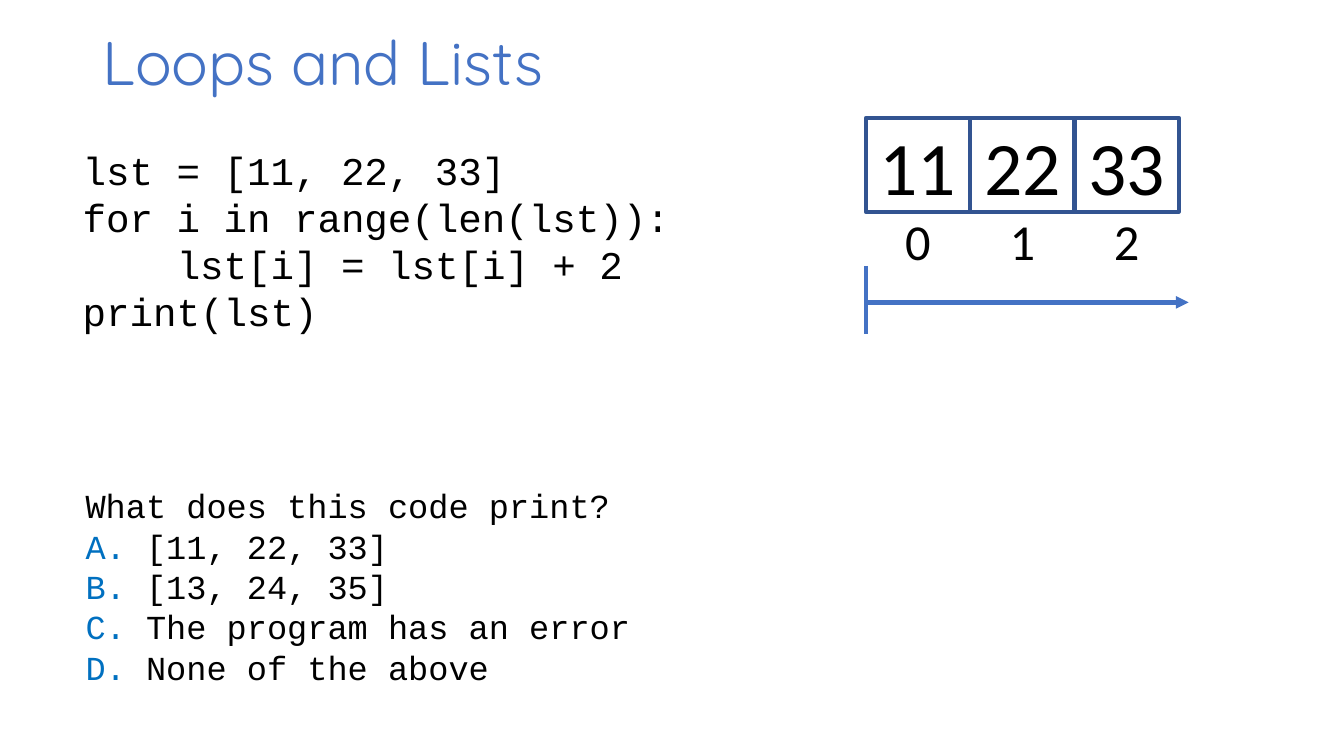
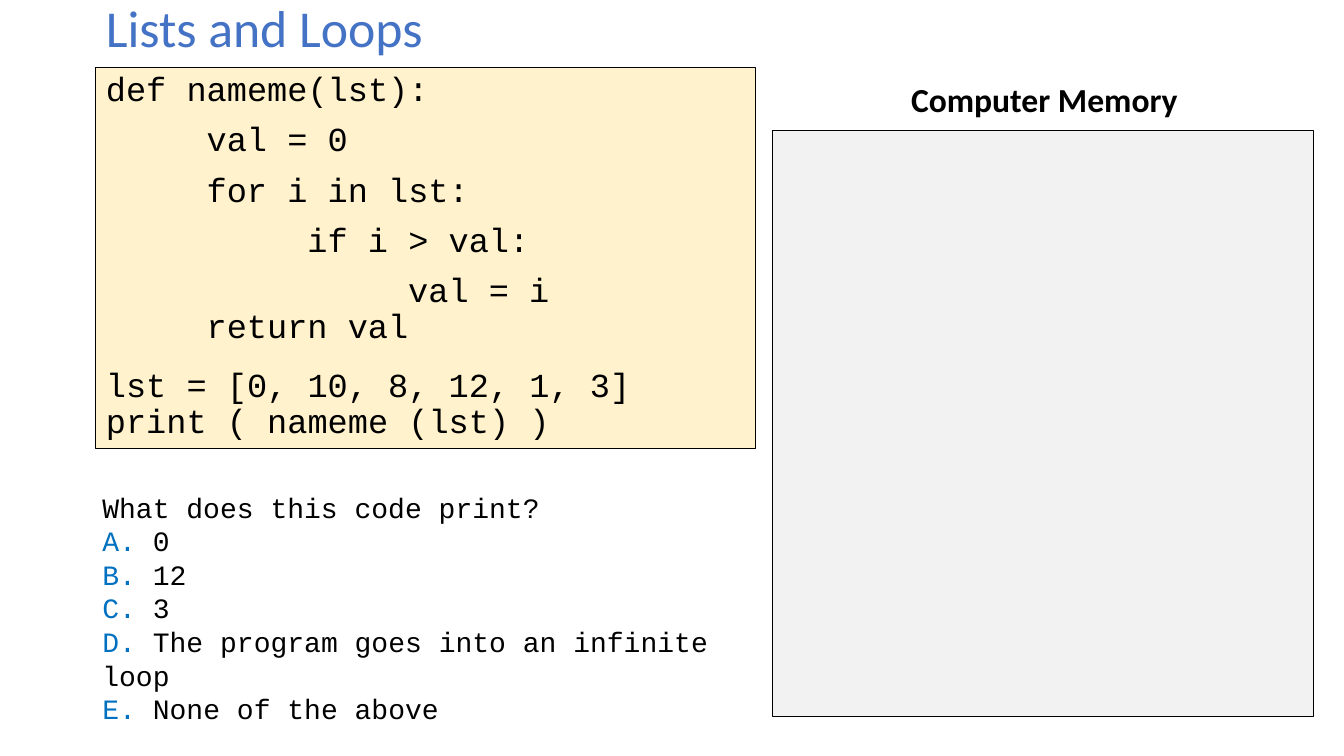
import pptx
import pptx.dml.color
import pptx.enum.shapes
import pptx.enum.text
import pptx.oxml.ns
import pptx.util
from lxml import etree

Pt = pptx.util.Pt
RGBColor = pptx.dml.color.RGBColor
Align = pptx.enum.text.PP_ALIGN
Anchor = pptx.enum.text.MSO_ANCHOR
AutoSize = pptx.enum.text.MSO_AUTO_SIZE
qn = pptx.oxml.ns.qn

BLUE = RGBColor(0x44, 0x72, 0xC4)
DARK_BLUE = RGBColor(0x32, 0x54, 0x91)
ANSWER_BLUE = RGBColor(0x00, 0x70, 0xC0)
BLACK = RGBColor(0x00, 0x00, 0x00)
CREAM = RGBColor(0xFF, 0xF2, 0xCC)
GREY = RGBColor(0xF2, 0xF2, 0xF2)

BODY_FONT = "Calibri"
CODE_FONT = "Courier New"
QUESTION = "What does this code print?"


def style_span(span, size, font=BODY_FONT, color=BLACK, bold=False):
    span.font.size = Pt(size)
    span.font.name = font
    span.font.color.rgb = color
    span.font.bold = bold


def indent(para, points):
    para._p.get_or_add_pPr().set("marL", str(Pt(points)))


def add_text(page, left, top, width, height, grow=True):
    """Add an empty wrapping text box and return its text frame."""
    box = page.shapes.add_textbox(Pt(left), Pt(top), Pt(width), Pt(height))
    frame = box.text_frame
    frame.word_wrap = True
    frame.auto_size = AutoSize.SHAPE_TO_FIT_TEXT if grow else AutoSize.NONE
    return frame


def write_line(frame, text, size, align=Align.LEFT, **style):
    frame.text = text
    para = frame.paragraphs[0]
    para.alignment = align
    style_span(para.runs[0], size, **style)
    return para


def add_title(page, text, left, top, width, height, size, font, anchor):
    frame = add_text(page, left, top, width, height, grow=False)
    frame.vertical_anchor = anchor
    return write_line(frame, text, size, font=font, color=BLUE)


def add_rectangle(page, left, top, width, height, line_color, line_width, fill=None):
    box = page.shapes.add_shape(pptx.enum.shapes.MSO_SHAPE.RECTANGLE,
                                Pt(left), Pt(top), Pt(width), Pt(height))
    box.shadow.inherit = False
    if fill is None:
        box.fill.background()
    else:
        box.fill.solid()
        box.fill.fore_color.rgb = fill
    box.line.color.rgb = line_color
    box.line.width = Pt(line_width)
    return box


def add_line(page, start, end, arrow=False):
    line = page.shapes.add_connector(pptx.enum.shapes.MSO_CONNECTOR.STRAIGHT,
                                     *(Pt(value) for value in start + end))
    line.line.color.rgb = BLUE
    line.line.width = Pt(3)
    if arrow:
        etree.SubElement(line.line._get_or_add_ln(), qn("a:tailEnd"), type="triangle")
    etree.SubElement(line._element.spPr, qn("a:effectLst"))


def write_code(frame, lines, size, step):
    """Write (level, text) lines, each level indented by step points."""
    frame.text = "\n".join(text for _, text in lines)
    for para, (level, _) in zip(frame.paragraphs, lines):
        para.alignment = Align.LEFT
        indent(para, level * step)
        style_span(para.runs[0], size, CODE_FONT)


def add_question(page, left, top, size, answers):
    frame = add_text(page, left, top, 480, 152)
    write_line(frame, QUESTION, size, font=CODE_FONT)
    for letter, answer in zip("ABCDE", answers):
        para = frame.add_paragraph()
        for text, color in ((f"{letter}. ", ANSWER_BLUE), (answer, BLACK)):
            span = para.add_run()
            span.text = text
            style_span(span, size, CODE_FONT, color)
    for para in frame.paragraphs:
        indent(para, 2)


def add_list_diagram(page, values, left, top, width, height):
    """Draw the list's cells with an index under each one."""
    for index, value in enumerate(values):
        cell_left = left + index * width
        cell = add_rectangle(page, cell_left, top, width, height, DARK_BLUE, 3)
        cell.text_frame.vertical_anchor = Anchor.MIDDLE
        write_line(cell.text_frame, str(value), 54, Align.CENTER)
        label = add_text(page, cell_left, top + 62.5, width, 51)
        write_line(label, str(index), 36, Align.CENTER)


def build_loops_and_lists(page):
    add_title(page, "Loops and Lists", 66, 11.5, 828, 63.5, 44, "Quicksand", Anchor.MIDDLE)
    add_list_diagram(page, (11, 22, 33), 618.5, 84.25, 74.5, 67)
    add_line(page, (618.5, 190), (618.5, 238.5))
    add_line(page, (618.5, 216), (849, 216), arrow=True)
    code = add_text(page, 52, 101, 531, 143)
    write_code(code, [
        (0, "lst = [11, 22, 33]"),
        (0, "for i in range(len(lst)):"),
        (1, "lst[i] = lst[i] + 2"),
        (0, "print(lst)"),
    ], 28, 67.2)
    add_question(page, 52, 343, 24, [
        "[11, 22, 33]", "[13, 24, 35]", "The program has an error", "None of the above"])


def build_lists_and_loops(page):
    title = add_title(page, "Lists and Loops", 68.5, 2, 623.5, 45.5, 37, BODY_FONT, Anchor.TOP)
    title.line_spacing = 0.8
    title.space_before = Pt(10)

    code = add_rectangle(page, 68.5, 48.25, 471.5, 272, BLACK, 0.75, CREAM).text_frame
    code.vertical_anchor = Anchor.TOP
    write_code(code, [
        (0, "def nameme(lst):"),
        (1, "val = 0"),
        (1, "for i in lst:"),
        (2, "if i > val:"),
        (3, "val = i"),
        (1, "return val"),
        (0, "lst = [0, 10, 8, 12, 1, 3]"),
        (0, "print ( nameme (lst) )"),
    ], 24, 72)
    for para in code.paragraphs:
        para.line_spacing = 0.9
        tight = para.text.startswith(("return", "print"))
        para.space_before = Pt(0 if tight else 10)
        para.space_after = Pt(6 if para.text.startswith("return") else 0)

    add_rectangle(page, 551.5, 93, 386.5, 419, BLACK, 0.75, GREY)
    heading = add_text(page, 628, 52.5, 236, 36)
    write_line(heading, "Computer Memory", 24, Align.CENTER, bold=True)
    add_question(page, 64, 346.5, 20, [
        "0", "12", "3", "The program goes into an infinite loop", "None of the above"])


def main():
    deck = pptx.Presentation()
    deck.slide_width, deck.slide_height = Pt(960), Pt(540)
    blank = deck.slide_layouts[6]
    for build in (build_loops_and_lists, build_lists_and_loops):
        build(deck.slides.add_slide(blank))
    deck.save("out.pptx")


if __name__ == "__main__":
    main()
